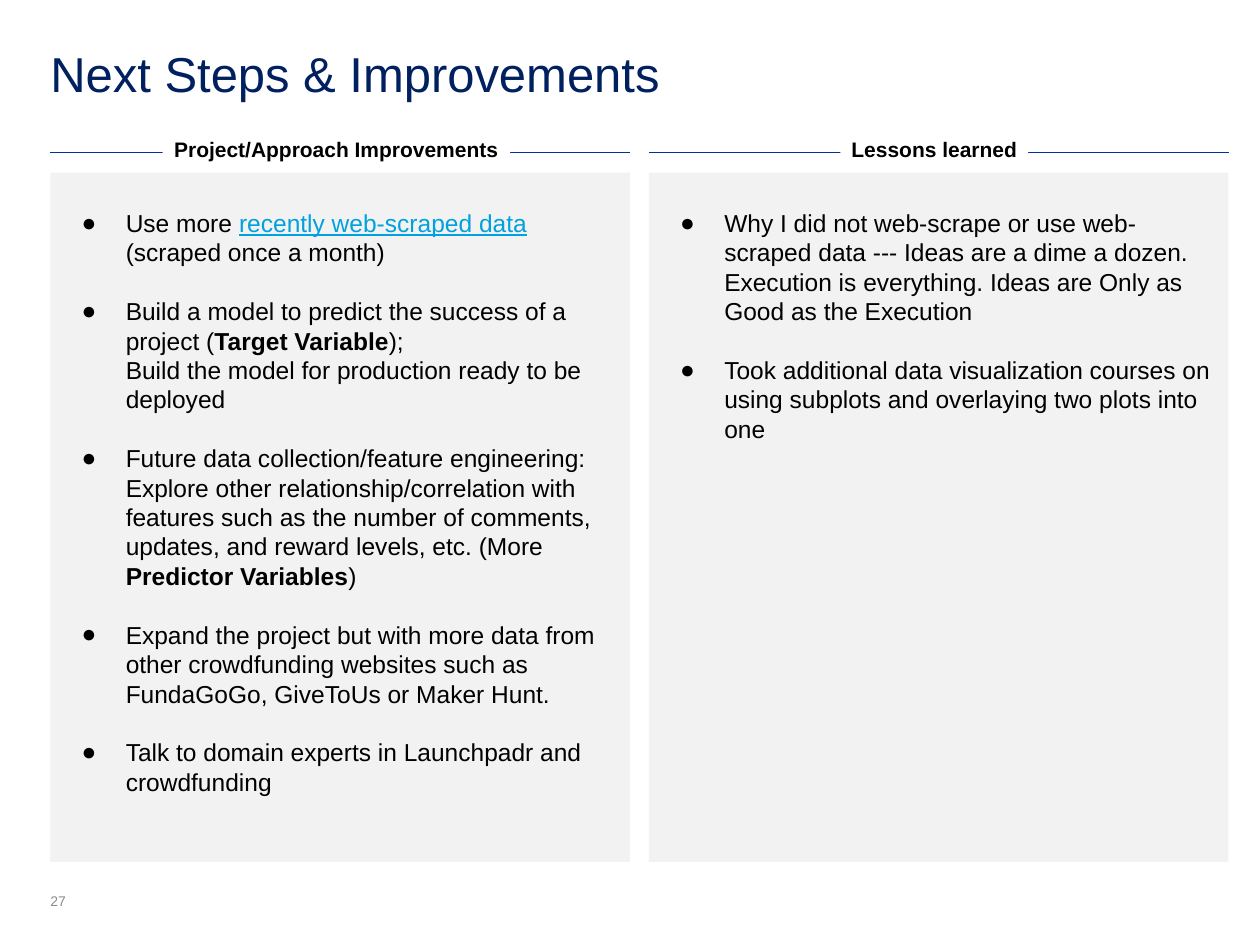
from lxml import etree
from pptx import Presentation
from pptx.dml.color import RGBColor
from pptx.enum import shapes, text
from pptx.oxml import ns
from pptx.util import Inches, Pt

NAVY = RGBColor(0x00, 0x20, 0x60)
BLUE = RGBColor(0x00, 0x33, 0x99)
SKY = RGBColor(0x00, 0xA1, 0xDE)
GRAY = RGBColor(0x8C, 0x8C, 0x8C)
PALE = RGBColor(0xF2, 0xF2, 0xF2)
WHITE = RGBColor(0xFF, 0xFF, 0xFF)
BLACK = RGBColor(0, 0, 0)

TITLE = "Next Steps & Improvements"
PAGE = "27"
COLS = [
    ("Project/Approach Improvements", 1.29, 2.76, [
        [("Use more ", ""), ("recently web-scraped data", "link"),
         (" (scraped once a month)", "")],
        [("Build a model to predict the success of a project (", ""),
         ("Target Variable", "bold"),
         ("); \nBuild the model for production ready to be deployed", "")],
        [("Future data collection/feature engineering: \nExplore other "
          "relationship/correlation with features such as the number of "
          "comments, updates, and reward levels, etc. (More ", ""),
         ("Predictor Variables", "bold"), (")", "")],
        [("Expand the project but with more data from other crowdfunding "
          "websites such as FundaGoGo, GiveToUs or Maker Hunt.", "")],
        [("Talk to domain experts in Launchpadr and crowdfunding", "")],
    ]),
    ("Lessons learned", 6.67, 1.49, [
        [("Why I did not web-scrape or use web-scraped data --- Ideas are a "
          "dime a dozen. Execution is everything. Ideas are Only as Good as "
          "the Execution", "")],
        [("Took additional data visualization courses on using subplots and "
          "overlaying two plots into one", "")],
    ]),
]
LEFT, WIDE, GAP = 0.4, 4.6, 0.15
TOP, HIGH, RULE = 1.37, 5.47, 1.21
LINE = 16.8


def style(para, size, color, bold=False):
    font = para.font
    font.name, font.size, font.bold = "Arial", Pt(size), bold
    font.color.rgb = color


def setup(frame, anchor, sides=0, top=0, bottom=0):
    frame.word_wrap = True
    frame.vertical_anchor = anchor
    frame.margin_left = frame.margin_right = Inches(sides)
    frame.margin_top, frame.margin_bottom = Inches(top), Inches(bottom)


def label(slide, words, box, size, color, anchor):
    frame = slide.shapes.add_textbox(*map(Inches, box)).text_frame
    setup(frame, anchor)
    frame.text = words
    style(frame.paragraphs[0], size, color)


def block(slide, box, fill):
    rect = slide.shapes.add_shape(shapes.MSO_SHAPE.RECTANGLE, *map(Inches, box))
    rect.shadow.inherit = False
    rect.fill.solid()
    rect.fill.fore_color.rgb = fill
    rect.line.fill.background()
    return rect.text_frame


def bullet(para):
    props = para._p.get_or_add_pPr()
    props.set("marL", str(Inches(0.5)))
    props.set("indent", str(Inches(-0.35)))
    color = etree.SubElement(props, ns.qn("a:buClr"))
    etree.SubElement(color, ns.qn("a:srgbClr"), val=str(BLACK))
    etree.SubElement(props, ns.qn("a:buFont"), typeface="Arial")
    etree.SubElement(props, ns.qn("a:buChar"), char="●")


def write(para, parts):
    for words, kind in parts:
        for i, piece in enumerate(words.split("\n")):
            if i:
                para.add_line_break()
            run = para.add_run()
            run.text = piece
            if kind == "bold":
                run.font.bold = True
            elif kind == "link":
                run.font.underline = True
                run.font.color.rgb = SKY


def panel(slide, left, items):
    frame = block(slide, (left, TOP, WIDE, HIGH), PALE)
    setup(frame, text.MSO_ANCHOR.TOP, 0.1, 0.28, 0.05)
    for i, parts in enumerate(items):
        para = frame.add_paragraph() if i else frame.paragraphs[0]
        bullet(para)
        para.alignment = text.PP_ALIGN.LEFT
        if i:
            para.space_before = Pt(LINE)
        style(para, 14, BLACK)
        write(para, parts)


def header(slide, left, words, start, width):
    rule = slide.shapes.add_connector(
        shapes.MSO_CONNECTOR.STRAIGHT,
        *map(Inches, (left, RULE, left + WIDE, RULE)))
    rule.line.color.rgb = BLUE
    rule.line.width = Pt(1)
    etree.SubElement(rule._element.spPr, ns.qn("a:effectLst"))
    frame = block(slide, (start, 1.1, width, 0.19), WHITE)
    setup(frame, text.MSO_ANCHOR.MIDDLE, 0.08)
    frame.text = words
    para = frame.paragraphs[0]
    para.alignment = text.PP_ALIGN.CENTER
    para.line_spacing = 0.95
    style(para, 12, BLACK, True)


def main():
    deck = Presentation()
    deck.slide_width, deck.slide_height = Inches(10), Inches(7.5)
    slide = deck.slides.add_slide(deck.slide_layouts[6])
    label(slide, PAGE, (LEFT, 7.09, 0.5, 0.13), 8, GRAY, text.MSO_ANCHOR.BOTTOM)
    label(slide, TITLE, (LEFT, 0.32, 9.2, 0.51), 28, NAVY, text.MSO_ANCHOR.MIDDLE)
    for i, (words, start, width, items) in enumerate(COLS):
        left = LEFT + i * (WIDE + GAP)
        panel(slide, left, items)
        header(slide, left, words, start, width)
    deck.save("out.pptx")


if __name__ == "__main__":
    main()
